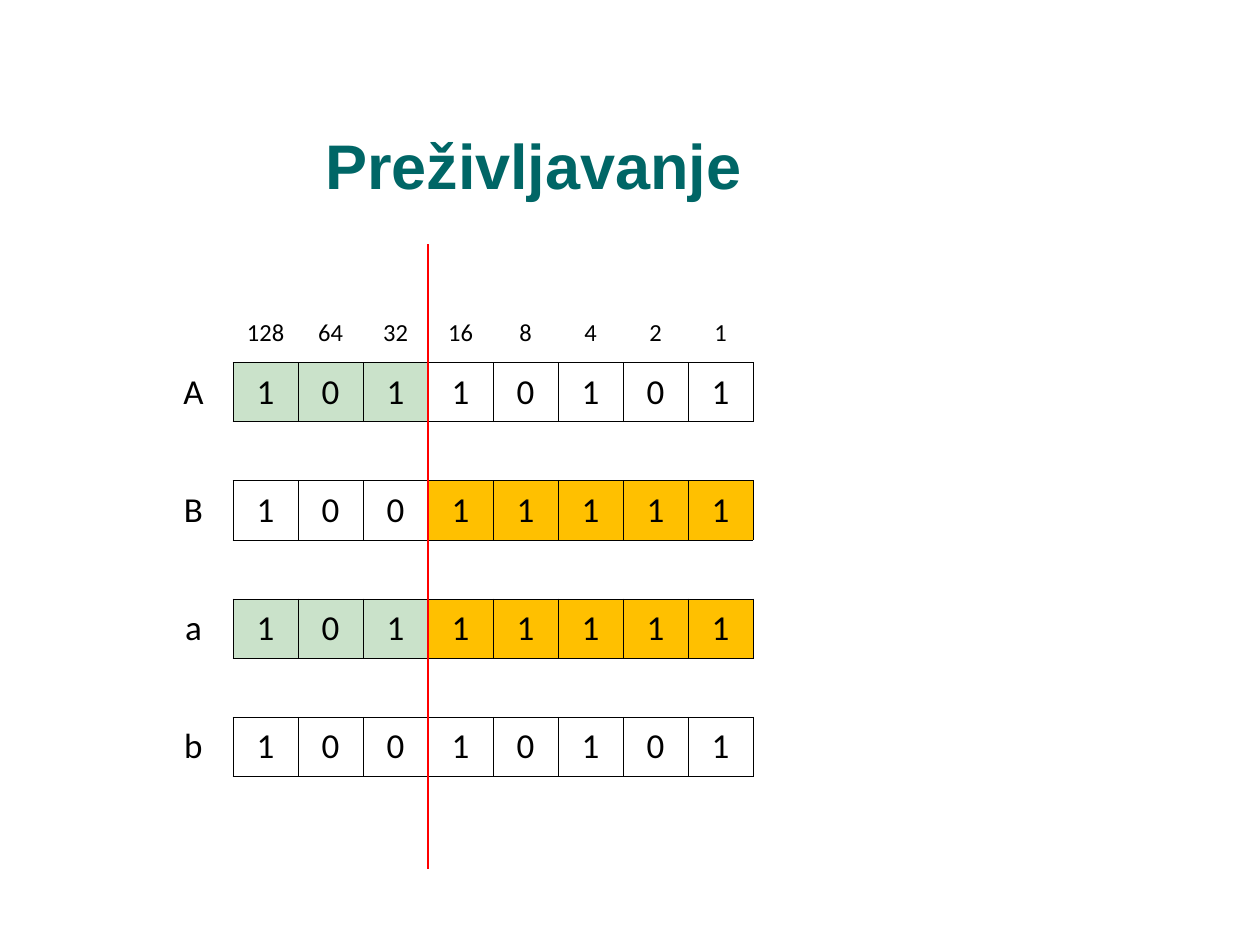
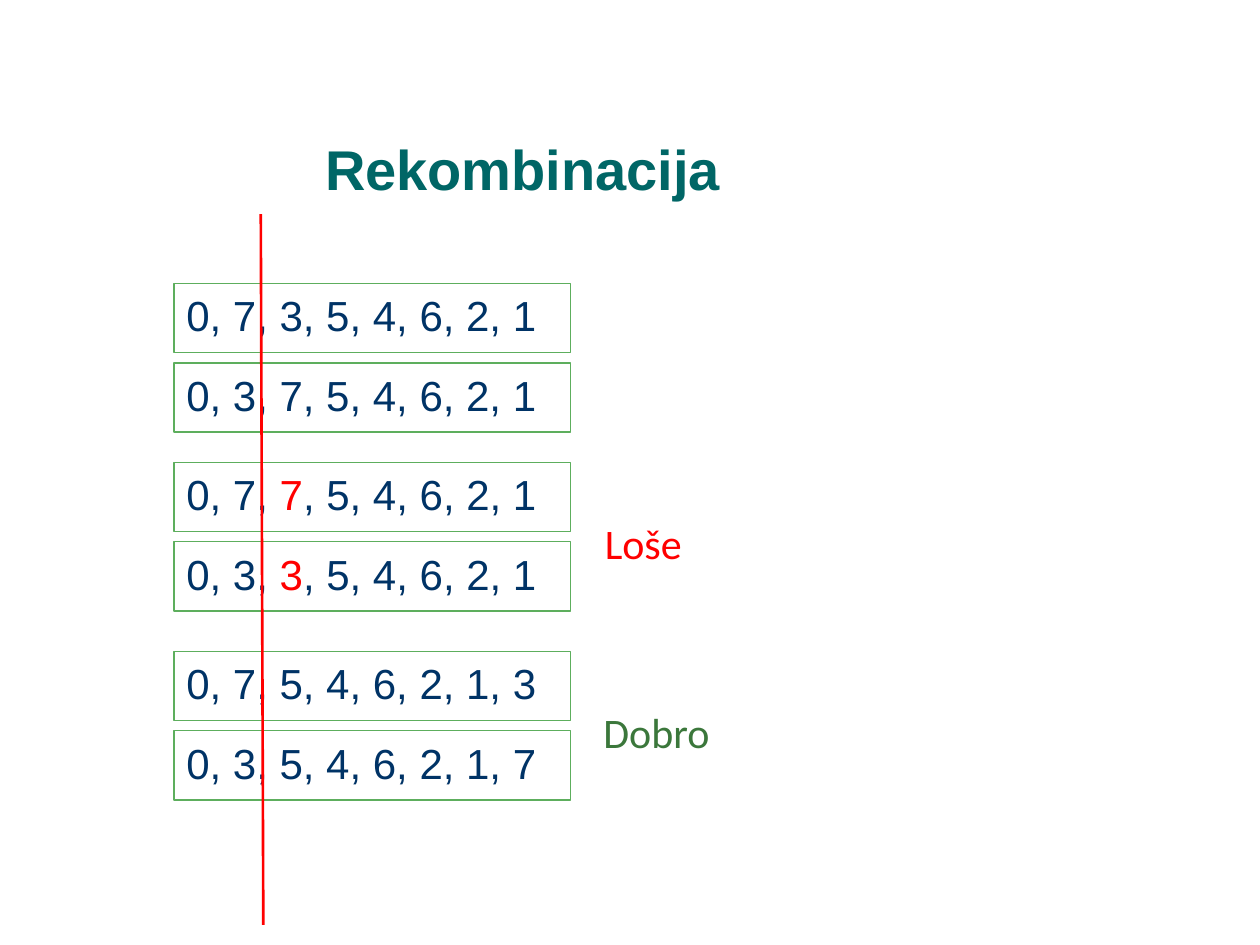
"""Builds two slides on survival and recombination in genetic algorithms."""
import lxml.etree
import pptx
import pptx.dml.color
import pptx.enum.shapes
import pptx.enum.text
import pptx.oxml.ns
import pptx.util

Inches = pptx.util.Inches
Pt = pptx.util.Pt
RGBColor = pptx.dml.color.RGBColor
Align = pptx.enum.text.PP_ALIGN
Anchor = pptx.enum.text.MSO_ANCHOR
qn = pptx.oxml.ns.qn

TEAL = RGBColor(0x00, 0x66, 0x66)
NAVY = RGBColor(0x00, 0x33, 0x66)
RED = RGBColor(0xFF, 0x00, 0x00)
GREEN = RGBColor(0x5D, 0xAE, 0x5D)
DARK_GREEN = RGBColor(0x3B, 0x77, 0x3B)
PALE_GREEN = RGBColor(0xCA, 0xE2, 0xCA)
AMBER = RGBColor(0xFF, 0xC0, 0x00)
WHITE = RGBColor(0xFF, 0xFF, 0xFF)
BLACK = RGBColor(0x00, 0x00, 0x00)

TITLE_FONT = "Arial"
LABEL_FONT = "Calibri"

BIT_COUNT = 8
CUT_BIT = 3  # bits to the left of the red line
# name, bits, fill left of the cut, fill right of the cut
BIT_ROWS = [
    ("A", "10110101", PALE_GREEN, None),
    ("B", "10011111", None, AMBER),
    ("a", "10111111", PALE_GREEN, AMBER),
    ("b", "10010101", None, None),
]

# top, two sequences, index of the repeated number, verdict, colour, alignment
SEQUENCE_PAIRS = [
    (2.25, ("07354621", "03754621"), None, "", None, None),
    (3.67, ("07754621", "03354621"), 2, "Loše", RED, Align.RIGHT),
    (5.17, ("07546213", "03546217"), None, "Dobro", DARK_GREEN, Align.LEFT),
]


def format_run(run, font_name, size, color, bold=False):
    """Set the font, size and colour of a run."""
    run.font.name = font_name
    run.font.size = Pt(size)
    run.font.color.rgb = color
    run.font.bold = bold


def add_titled_slide(presentation, title, size):
    """Add a slide with the shared title style."""
    slide = presentation.slides.add_slide(presentation.slide_layouts[5])
    shape = slide.shapes.title
    shape.left, shape.top = Inches(2.48), Inches(1.08)
    shape.width, shape.height = Inches(7.27), Inches(0.58)
    frame = shape.text_frame
    frame.text = title
    frame.auto_size = pptx.enum.text.MSO_AUTO_SIZE.NONE
    frame.vertical_anchor = Anchor.BOTTOM
    paragraph = frame.paragraphs[0]
    paragraph.alignment = Align.LEFT
    paragraph.line_spacing = 0.9
    format_run(paragraph.runs[0], TITLE_FONT, size, TEAL, bold=True)
    return slide


def add_cut_line(slide, start_x, start_y, end_x, end_y):
    """Draw the red line that marks the crossover point."""
    line = slide.shapes.add_connector(
        pptx.enum.shapes.MSO_CONNECTOR.STRAIGHT,
        Inches(start_x), Inches(start_y), Inches(end_x), Inches(end_y))
    line.line.color.rgb = RED
    line.line.width = Pt(1.5)
    lxml.etree.SubElement(line._element.spPr, qn("a:effectLst"))


def set_borders(cell, edges):
    """Draw thin black borders on the given edges and clear the others."""
    properties = cell._tc.get_or_add_tcPr()
    for edge in "LRTB":
        line = lxml.etree.SubElement(properties, qn("a:ln" + edge))
        if edge in edges:
            line.set("w", str(Pt(0.5)))
            fill = lxml.etree.SubElement(line, qn("a:solidFill"))
            lxml.etree.SubElement(fill, qn("a:srgbClr")).set("val", str(BLACK))
        else:
            lxml.etree.SubElement(line, qn("a:noFill"))


def style_cell(cell, text, size, edges, color=None):
    """Fill, border and centre one table cell."""
    set_borders(cell, edges)
    if color is None:
        cell.fill.background()
    else:
        cell.fill.solid()
        cell.fill.fore_color.rgb = color
    cell.margin_left = cell.margin_right = 0
    cell.margin_top = cell.margin_bottom = 0
    cell.vertical_anchor = Anchor.MIDDLE
    if text:
        cell.text = text
        paragraph = cell.text_frame.paragraphs[0]
        paragraph.alignment = Align.CENTER
        format_run(paragraph.runs[0], LABEL_FONT, size, BLACK)


def add_bit_table(slide, left, top, name_width, bit_width, row_height):
    """Add the table of bit strings, each below a spacer or weight row."""
    row_count = 2 * len(BIT_ROWS)
    table = slide.shapes.add_table(
        row_count, BIT_COUNT + 1, Inches(left), Inches(top),
        Inches(name_width + BIT_COUNT * bit_width),
        Inches(row_count * row_height)).table
    table.first_row = table.horz_banding = False
    for index, column in enumerate(table.columns):
        column.width = Inches(bit_width if index else name_width)
    for row in table.rows:
        row.height = Inches(row_height)

    for index, (name, bits, left_fill, right_fill) in enumerate(BIT_ROWS):
        spacer, row = 2 * index, 2 * index + 1
        style_cell(table.cell(spacer, 0), "", 14, "")
        style_cell(table.cell(row, 0), name, 20, "R")
        for bit, digit in enumerate(bits):
            weight = "" if index else str(2 ** (BIT_COUNT - 1 - bit))
            style_cell(table.cell(spacer, bit + 1), weight, 14,
                       "TB" if index else "B")
            style_cell(table.cell(row, bit + 1), digit, 20, "LRTB",
                       left_fill if bit < CUT_BIT else right_fill)


def add_sequence(slide, left, top, width, height, digits, repeated):
    """Add a framed number sequence, with a repeated number in red."""
    box = slide.shapes.add_shape(
        pptx.enum.shapes.MSO_SHAPE.RECTANGLE,
        Inches(left), Inches(top), Inches(width), Inches(height))
    box.shadow.inherit = False
    box.fill.solid()
    box.fill.fore_color.rgb = WHITE
    box.line.color.rgb = GREEN
    box.line.width = Pt(0.75)
    box.text_frame.vertical_anchor = Anchor.TOP
    paragraph = box.text_frame.paragraphs[0]
    paragraph.alignment = Align.LEFT
    paragraph.space_before = Pt(4.8)
    properties = paragraph._p.get_or_add_pPr()
    properties.set("marL", str(Inches(0.38)))
    properties.set("indent", str(-Inches(0.38)))

    if repeated is None:
        parts = [(", ".join(digits), NAVY)]
    else:
        parts = [(", ".join(digits[:repeated]) + ", ", NAVY),
                 (digits[repeated], RED),
                 (", " + ", ".join(digits[repeated + 1:]), NAVY)]
    for text, color in parts:
        run = paragraph.add_run()
        run.text = text
        format_run(run, TITLE_FONT, 24, color)


def add_verdict(slide, left, top, width, text, color, alignment):
    """Add the verdict beside a pair of sequences."""
    box = slide.shapes.add_textbox(
        Inches(left), Inches(top), Inches(width), Inches(0.5))
    frame = box.text_frame
    frame.text = text
    frame.word_wrap = False
    frame.auto_size = pptx.enum.text.MSO_AUTO_SIZE.SHAPE_TO_FIT_TEXT
    paragraph = frame.paragraphs[0]
    paragraph.alignment = alignment
    format_run(paragraph.runs[0], LABEL_FONT, 24, color)


def build_survival_slide(presentation):
    """Build the slide with bit strings crossed at one point."""
    slide = add_titled_slide(presentation, "Preživljavanje", 36)
    left, name_width, bit_width = 1.22, 0.63, 0.516
    add_bit_table(slide, left, 2.41, name_width, bit_width, 0.469)
    cut = left + name_width + CUT_BIT * bit_width
    add_cut_line(slide, cut, 1.94, cut, 6.9)


def build_recombination_slide(presentation):
    """Build the slide with bad and good recombined sequences."""
    slide = add_titled_slide(presentation, "Rekombinacija", 32)
    left, width, height, pitch = 1.38, 3.15, 0.55, 0.63
    for top, pair, repeated, verdict, color, alignment in SEQUENCE_PAIRS:
        for index, digits in enumerate(pair):
            add_sequence(slide, left, top + index * pitch, width, height,
                         digits, repeated)
        if verdict:
            verdict_width = 0.82 if alignment == Align.RIGHT else 1.05
            add_verdict(slide, left + width + 0.16, top + 0.39,
                        verdict_width, verdict, color, alignment)
    add_cut_line(slide, 2.07, 1.7, 2.09, 7.34)


def main():
    """Build and save the presentation."""
    presentation = pptx.Presentation()
    presentation.slide_width = Inches(10)
    presentation.slide_height = Inches(7.5)
    build_survival_slide(presentation)
    build_recombination_slide(presentation)
    presentation.save("out.pptx")


main()
